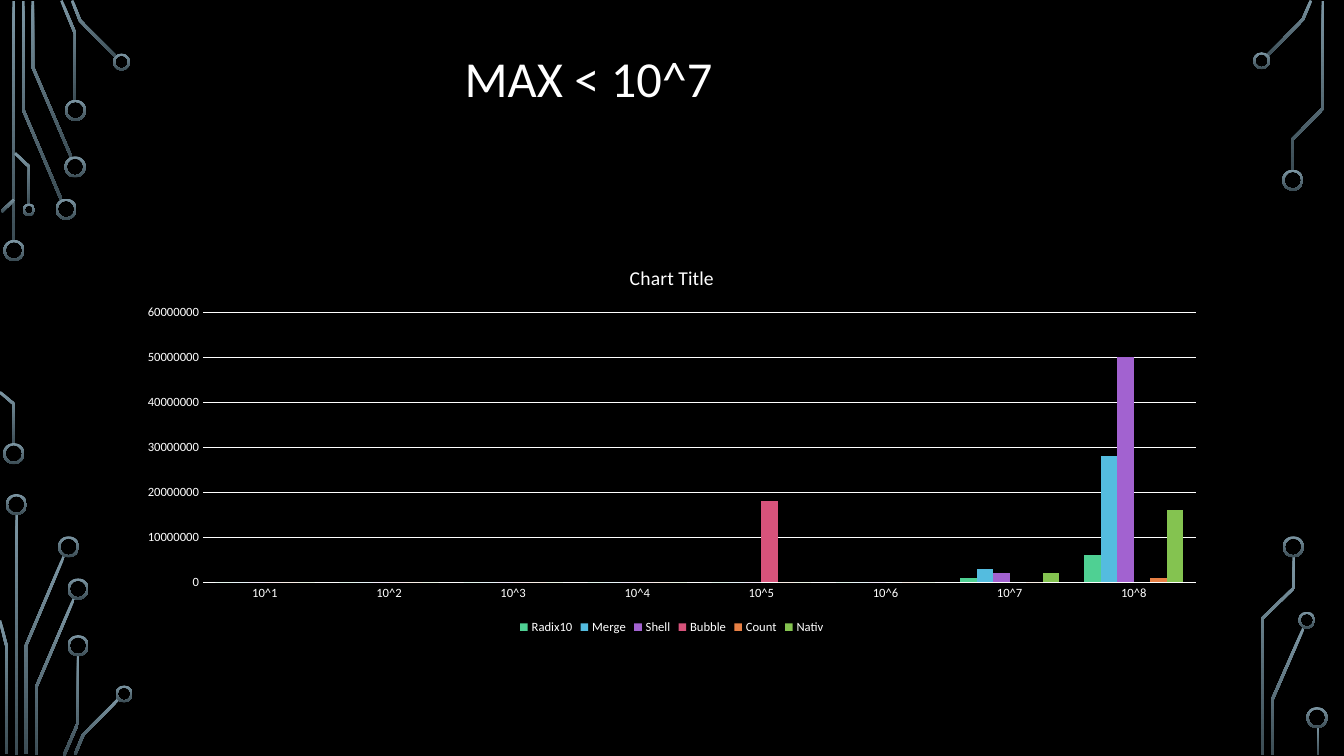
from math import hypot

from pptx import Presentation
from pptx.chart.data import CategoryChartData
from pptx.dml.color import RGBColor
from pptx.enum.chart import XL_CHART_TYPE, XL_LEGEND_POSITION, XL_TICK_MARK
from pptx.enum.shapes import MSO_SHAPE
from pptx.enum.text import MSO_ANCHOR, PP_ALIGN
from pptx.util import Pt

DONUT = MSO_SHAPE.DONUT
COLUMNS = XL_CHART_TYPE.COLUMN_CLUSTERED
LEGEND_BOTTOM = XL_LEGEND_POSITION.BOTTOM
NO_TICK = XL_TICK_MARK.NONE
MIDDLE = MSO_ANCHOR.MIDDLE
LEFT, CENTER = PP_ALIGN.LEFT, PP_ALIGN.CENTER

TITLE_ONLY = 5
LARGE, MEDIUM, SMALL = 15.1, 12.2, 8.9  # ring diameters

# Centre lines of the circuit traces
TRACES = [
    # top left
    [(9.7, 0.7), (9.7, 172.8)],
    [(43.9, 142.9), (16.6, 78.5), (16.6, 0.7)],
    [(51.1, 112.7), (23.4, 47.9), (23.4, 0.7)],
    [(53.7, 72), (53.7, 23.8), (43.9, 0.4)],
    [(83.2, 41), (57.2, 14.8), (51.5, 0.4)],
    [(1.1, 151.2), (10.1, 142.6)],
    [(10.1, 317.5), (10.1, 288.7), (0, 280.1)],
    [(20.9, 146.2), (20.9, 119.2), (10.8, 109.4)],
    # bottom left
    [(11.9, 367.2), (11.9, 539.3)],
    [(18.4, 538.6), (18.4, 461.5), (45.7, 397.1)],
    [(4.7, 538.6), (4.7, 461.5), (0, 443.2)],
    [(25.6, 539.3), (25.6, 491.4), (52.9, 427.3)],
    [(45.7, 539.6), (55.8, 516.2), (55.8, 468)],
    [(53.6, 538.9), (59.4, 524.9), (85, 499)],
    # right
    [(905, 40), (930.6, 14), (936.4, 0.4)],
    [(923, 121.7), (923, 99.7), (945, 77.4), (945, 0.7)],
    [(909, 539.3), (909, 499.3), (931, 448.9)],
    [(901.8, 539.3), (901.8, 441.7), (924.1, 420.1), (924.1, 397.4)],
    [(941.4, 519.1), (941.4, 539.3)],
]

# Ring centres by diameter
RINGS = {
    LARGE: [(10, 178.9), (9.8, 324), (47.2, 149.4), (53.6, 119.2), (53.9, 78.8),
            (11.7, 360.4), (49, 390.6), (55.8, 420.7), (55.8, 461.2),
            (923.4, 128.7), (923.8, 390.6), (940.7, 512.6)],
    MEDIUM: [(86.8, 44.3), (88.7, 495.7), (901.2, 43.4), (933.5, 443)],
    SMALL: [(20.7, 149.8)],
}

MILLION = 1000000
CATEGORIES = [f"10^{power}" for power in range(1, 9)]
# Values in millions
SERIES = [
    ("Radix10", "4FD093", [0, 0, 0, 0, 0, 0, 1, 6]),
    ("Merge", "54BCDF", [0, 0, 0, 0, 0, 0, 3, 28]),
    ("Shell", "A262D0", [0, 0, 0, 0, 0, 0, 2, 50]),
    ("Bubble", "D7537B", [0, 0, 0, 0, 18, None, None, None]),
    ("Count", "E78045", [0, 0, 0, 0, 0, 0, 0, 1]),
    ("Nativ", "84C350", [0, 0, 0, 0, 0, 0, 2, 16]),
]


def color(hex_string):
    return RGBColor.from_string(hex_string)


def outline(points, width):
    """Return the closed outline of a line with mitred corners."""
    normals = []
    for (x1, y1), (x2, y2) in zip(points, points[1:]):
        length = hypot(x2 - x1, y2 - y1)
        normals.append(((y1 - y2) / length, (x2 - x1) / length))
    before, after = normals[:1] + normals, normals + normals[-1:]
    left, right = [], []
    for (x, y), (ax, ay), (bx, by) in zip(points, before, after):
        reach = width / 2 / (1 + ax * bx + ay * by)
        dx, dy = (ax + bx) * reach, (ay + by) * reach
        left.append((x + dx, y + dy))
        right.append((x - dx, y - dy))
    return left + right[::-1]


class SlideBuilder:
    font = "Calibri"
    ink = "FFFFFF"
    background = "000000"
    gradient = ("7C96A3", "3B4C54")
    trace_width = 1.9
    ring_width = 1.5

    def __init__(self, presentation):
        self.slide = presentation.slides.add_slide(presentation.slide_layouts[TITLE_ONLY])
        fill = self.slide.background.fill
        fill.solid()
        fill.fore_color.rgb = color(self.background)

    def style_font(self, font, size):
        font.name, font.size, font.bold = self.font, Pt(size), False
        font.color.rgb = color(self.ink)

    def text(self, frame, content, size=18, align=LEFT, spacing=None):
        paragraph = frame.paragraphs[0]
        paragraph.alignment = align
        paragraph.line_spacing = spacing
        run = paragraph.add_run()
        run.text = content
        self.style_font(run.font, size)

    def title(self, content, left, top, width, height):
        shape = self.slide.shapes.title
        shape.left, shape.top, shape.width, shape.height = map(Pt, (left, top, width, height))
        shape.text_frame.word_wrap = True
        shape.text_frame.vertical_anchor = MIDDLE
        self.text(shape.text_frame, content, size=36, spacing=0.9)

    def shade(self, shape):
        shape.shadow.inherit = False
        shape.line.fill.background()
        shape.fill.gradient()
        shape.fill.gradient_angle = 270
        for stop, hex_string in zip(shape.fill.gradient_stops, self.gradient):
            stop.color.rgb = color(hex_string)

    def trace(self, points):
        start, *rest = [(Pt(x), Pt(y)) for x, y in outline(points, self.trace_width)]
        builder = self.slide.shapes.build_freeform(*start)
        builder.add_line_segments(rest, close=True)
        self.shade(builder.convert_to_shape())

    def ring(self, x, y, diameter):
        shape = self.slide.shapes.add_shape(
            DONUT, Pt(x - diameter / 2), Pt(y - diameter / 2), Pt(diameter), Pt(diameter))
        shape.adjustments[0] = self.ring_width / diameter
        self.shade(shape)

    def column_chart(self, heading, categories, series, left, top, width, height):
        data = CategoryChartData()
        data.categories = categories
        for name, _, values in series:
            data.add_series(name, [None if value is None else value * MILLION for value in values])
        chart = self.slide.shapes.add_chart(
            COLUMNS, Pt(left), Pt(top), Pt(width), Pt(height), data).chart
        self.style_font(chart.font, 10)
        self.text(chart.chart_title.text_frame, heading, size=14, align=CENTER)
        chart.chart_title.include_in_layout = False

        plot = chart.plots[0]
        plot.gap_width, plot.overlap, plot.vary_by_categories = 150, 0, False
        for column, (_, hex_string, _) in zip(plot.series, series):
            column.invert_if_negative = False
            column.format.fill.solid()
            column.format.fill.fore_color.rgb = color(hex_string)

        for axis in (chart.category_axis, chart.value_axis):
            axis.major_tick_mark = axis.minor_tick_mark = NO_TICK
            axis.format.line.fill.background()
            self.style_font(axis.tick_labels.font, 9)
        chart.value_axis.minimum_scale = 0
        chart.value_axis.maximum_scale = 60 * MILLION
        chart.value_axis.major_unit = 10 * MILLION
        grid = chart.value_axis.major_gridlines.format.line
        grid.width = Pt(0.75)
        grid.color.rgb = color(self.ink)

        chart.has_legend = True
        chart.legend.position = LEGEND_BOTTOM
        chart.legend.include_in_layout = False
        self.style_font(chart.legend.font, 9)


def main():
    presentation = Presentation()
    presentation.slide_width, presentation.slide_height = Pt(960), Pt(540)
    builder = SlideBuilder(presentation)

    # Circuit decoration
    for points in TRACES:
        builder.trace(points)
    for diameter, centres in RINGS.items():
        for x, y in centres:
            builder.ring(x, y, diameter)

    # Title and chart
    builder.title("MAX < 10^7", 324.7, 0, 779.8, 116.6)
    builder.column_chart("Chart Title", CATEGORIES, SERIES, 90, 177.1, 779.8, 279)

    presentation.save("out.pptx")


if __name__ == "__main__":
    main()
